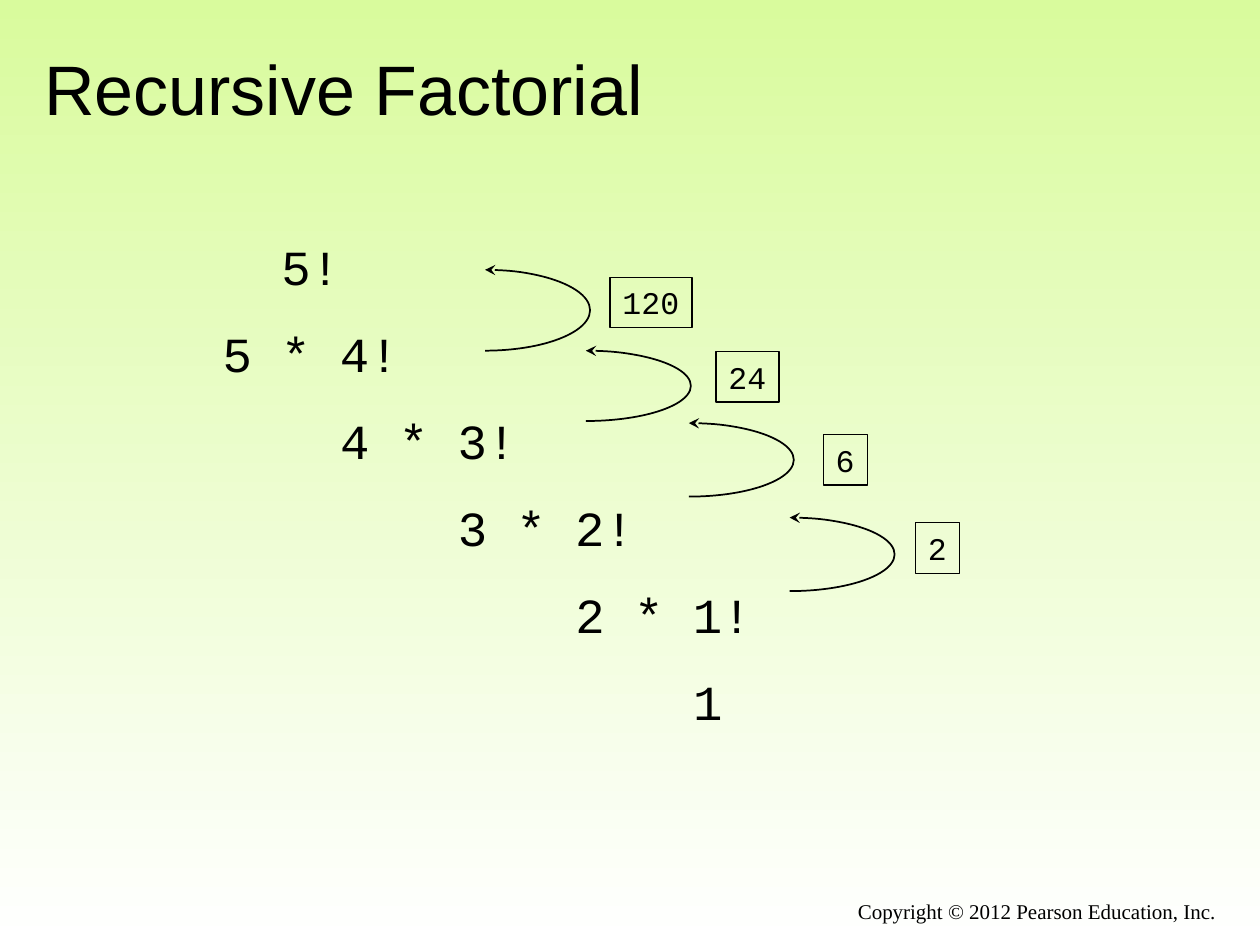
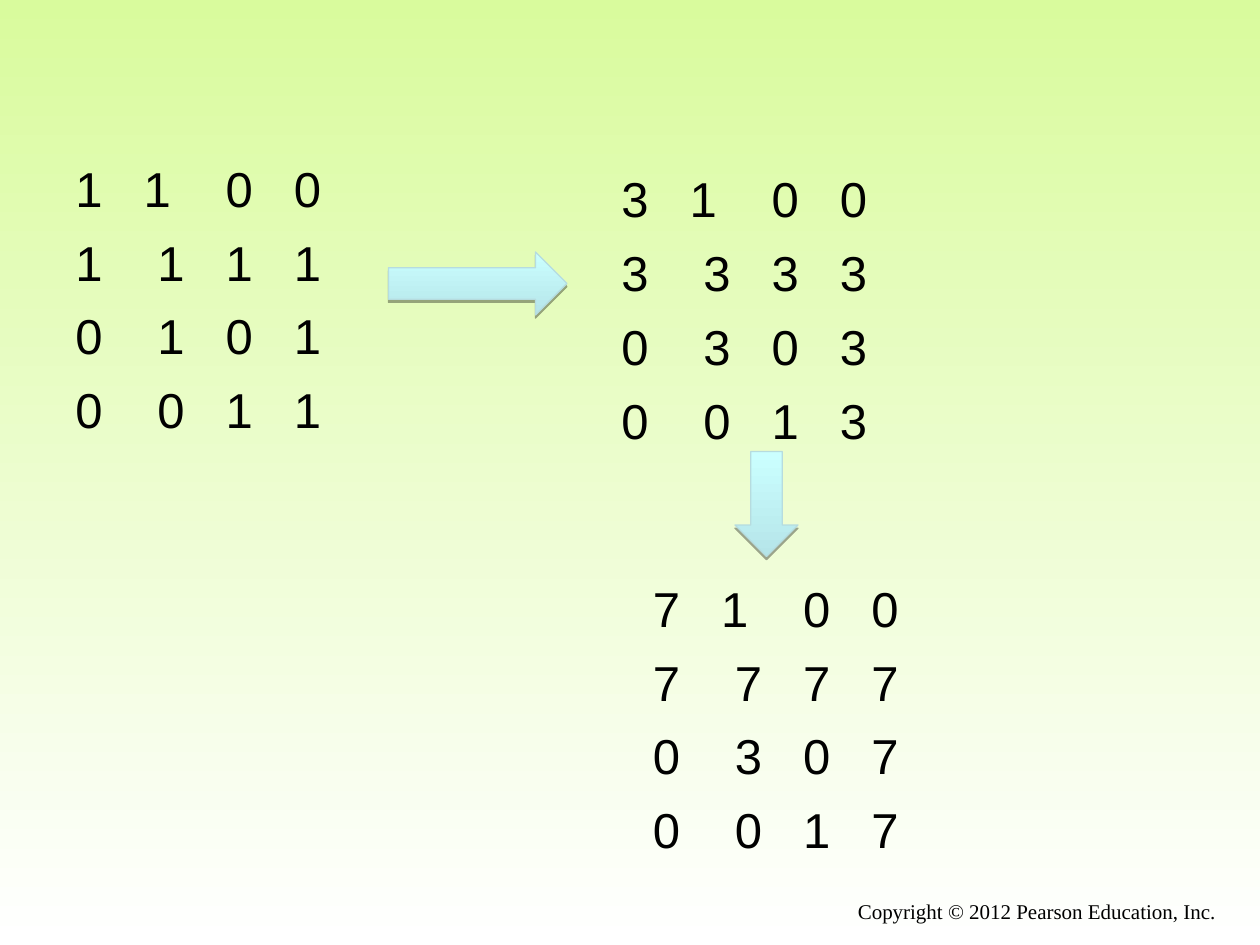
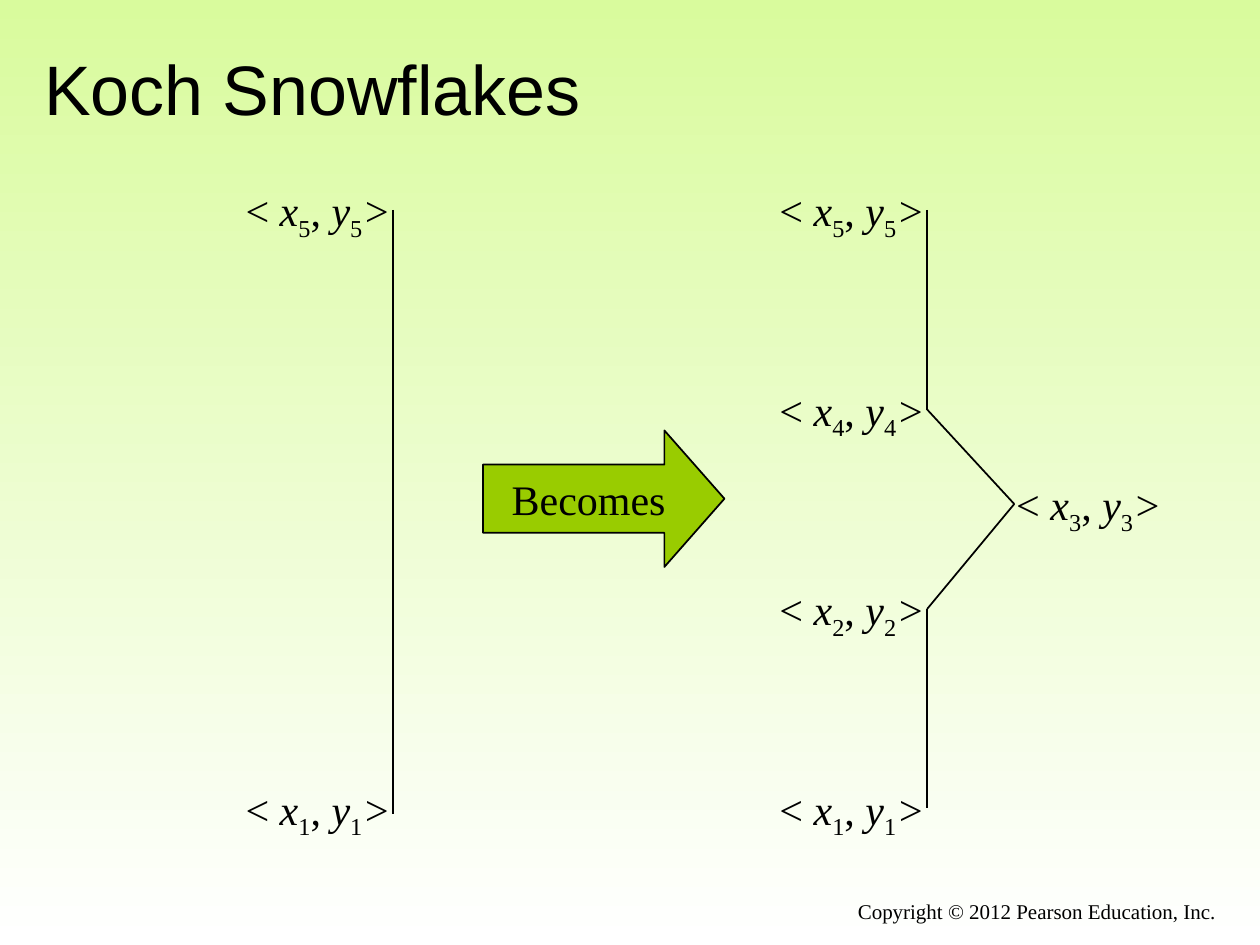
from itertools import pairwise

from lxml.etree import SubElement
from pptx import Presentation
from pptx.dml.color import RGBColor
from pptx.enum.shapes import MSO_CONNECTOR, MSO_SHAPE
from pptx.enum.text import MSO_ANCHOR, MSO_AUTO_SIZE, PP_ALIGN
from pptx.oxml.ns import qn
from pptx.util import Inches, Pt

BLACK = RGBColor(0x00, 0x00, 0x00)
LIME = RGBColor(0xD9, 0xFB, 0x9D)
WHITE = RGBColor(0xFF, 0xFF, 0xFF)
GREEN = RGBColor(0x99, 0xCC, 0x00)
AQUA = RGBColor(0xCB, 0xFF, 0xFF)
TEAL = RGBColor(0xB5, 0xE5, 0xE9)
TEAL_EDGE = RGBColor(0xB6, 0xDC, 0xDF)

TITLE_FONT = {"name": "Arial", "size": Pt(40)}
MATRIX_FONT = {"name": "Arial", "size": Pt(28)}
STEP_FONT = {"name": "Courier New", "size": Pt(28)}
RESULT_FONT = {"name": "Courier New", "size": Pt(18)}
POINT_FONT = {"name": "Times New Roman", "size": Pt(24)}
COPYRIGHT_FONT = {"name": "Times New Roman", "size": Pt(12)}


def grid(*cells):
    return [Inches(cell / 12) for cell in cells]


def write(paragraph, text, font):
    run = paragraph.add_run()
    run.text = text
    for attribute, value in font.items():
        setattr(run.font, attribute, value)
    run.font.color.rgb = BLACK
    return run


prs = Presentation()
prs.slide_width, prs.slide_height = grid(120, 90)

backdrop = prs.slide_master.background.fill
backdrop.gradient()
backdrop.gradient_angle = 270
for stop, color, position in zip(backdrop.gradient_stops, (LIME, WHITE), (0, 1)):
    stop.color.rgb = color
    stop.position = position

factorial, matrices, koch = [
    prs.slides.add_slide(prs.slide_layouts[layout]) for layout in (1, 6, 5)
]

for slide, heading in ((factorial, "Recursive Factorial"), (koch, "Koch Snowflakes")):
    title = slide.shapes.title
    title.left, title.top, title.width, title.height = grid(3, 3.6, 114, 9.4)
    title.text_frame.auto_size = MSO_AUTO_SIZE.NONE
    title.text_frame.vertical_anchor = MSO_ANCHOR.MIDDLE
    title.text_frame.paragraphs[0].alignment = PP_ALIGN.LEFT
    write(title.text_frame.paragraphs[0], heading, TITLE_FONT)

STEPS = [(7, "5!"), (5, "5 * 4!"), (9, "4 * 3!"), (13, "3 * 2!"), (17, "2 * 1!"), (21, "1")]
CHARACTER = 2.8
expansion = factorial.placeholders[1]
expansion.left, expansion.top, expansion.width, expansion.height = grid(6, 22.6, 109, 46.4)
expansion.text_frame.auto_size = MSO_AUTO_SIZE.NONE
for row, (indent, step) in enumerate(STEPS):
    line = expansion.text_frame.add_paragraph() if row else expansion.text_frame.paragraphs[0]
    line.line_spacing = 0.9
    line.space_before = Pt(19.4 if row else 0)
    properties = line._p.get_or_add_pPr()
    properties.set("marL", str(grid(indent * CHARACTER)[0]))
    properties.set("indent", "0")
    SubElement(properties, qn("a:buNone"))
    write(line, step, STEP_FONT)

RETURNS = [
    ("120", (46.2, 25.7, 7.7), (58.1, 26.4, 7.8)),
    ("24", (55.8, 33.4, 6.7), (68.2, 33.5, 6)),
    ("6", (65.6, 40.3, 7), (78.4, 41.4, 4.2)),
    ("2", (75.2, 49.3, 7), (87.2, 49.8, 4.2)),
]
ARC_RADIUS = 10
for value, (center, top, height), (left, result_top, width) in RETURNS:
    arc = factorial.shapes.add_shape(
        MSO_SHAPE.ARC, *grid(center - ARC_RADIUS, top, 2 * ARC_RADIUS, height)
    )
    arc.adjustments[0], arc.adjustments[1] = 162, 54
    arc.shadow.inherit = False
    arc.fill.background()
    arc.line.color.rgb = BLACK
    arc.line.width = Pt(1)
    SubElement(arc.line._get_or_add_ln(), qn("a:headEnd"), type="stealth")

    result = factorial.shapes.add_textbox(*grid(left, result_top, width, 4.8))
    result.line.color.rgb = BLACK
    result.line.width = Pt(0.75)
    write(result.text_frame.paragraphs[0], value, RESULT_FONT)

MATRICES = [
    ((6, 14.5), ("1100", "1111", "0101", "0011")),
    ((58, 15.5), ("3100", "3333", "0303", "0013")),
    ((61, 54.5), ("7100", "7777", "0307", "0017")),
]
for corner, rows in MATRICES:
    matrix = matrices.shapes.add_textbox(*grid(*corner, 30, 28)).text_frame
    matrix.word_wrap = True
    for row, digits in enumerate(rows):
        line = matrix.add_paragraph() if row else matrix.paragraphs[0]
        line.space_before = Pt(8.5 if row else 0)
        tabs = SubElement(line._p.get_or_add_pPr(), qn("a:tabLst"))
        for position in grid(7.8 if row else 6.5, 14.3, 20.8):
            SubElement(tabs, qn("a:tab"), pos=str(position), algn="l")
        write(line, "\t".join(digits), MATRIX_FONT)

for direction, cells in (
    (MSO_SHAPE.RIGHT_ARROW, (37, 24, 17, 6)),
    (MSO_SHAPE.DOWN_ARROW, (70, 43, 6, 10)),
):
    arrow = matrices.shapes.add_shape(direction, *grid(*cells))
    arrow.fill.gradient()
    arrow.fill.gradient_angle = 90
    for stop, color, position in zip(arrow.fill.gradient_stops, (TEAL, AQUA), (0, 1)):
        stop.color.rgb = color
        stop.position = position
    arrow.line.color.rgb = TEAL_EDGE
    arrow.line.width = Pt(0.75)
    arrow.shadow.inherit = False
    shadow = SubElement(
        arrow._element.spPr.find(qn("a:effectLst")), qn("a:outerShdw"),
        blurRad="0", dist=str(Pt(1.8)), dir="5400000", rotWithShape="0",
    )
    shade = SubElement(shadow, qn("a:srgbClr"), val=str(BLACK))
    SubElement(shade, qn("a:alpha"), val="35000")

LEFT_X, RIGHT_X, PEAK_X = 37.45, 88.3, 96.6
BEND = [(RIGHT_X, 20), (RIGHT_X, 39), (PEAK_X, 48), (RIGHT_X, 58), (RIGHT_X, 77)]
SEGMENTS = [((LEFT_X, 20), (LEFT_X, 77.5)), *pairwise(BEND)]
for start, end in SEGMENTS:
    segment = koch.shapes.add_connector(MSO_CONNECTOR.STRAIGHT, *grid(*start, *end))
    segment.line.color.rgb = BLACK
    segment.line.width = Pt(1)
    SubElement(segment._element.spPr, qn("a:effectLst"))

POINTS = [("5", (LEFT_X, 20)), ("1", (LEFT_X, 77)), *zip("54321", BEND)]
for index, (x, y) in POINTS:
    offset = 1 if x == PEAK_X else 15.25
    label = koch.shapes.add_textbox(*grid(x - offset, y - 3, 16.2, 6.7)).text_frame
    label.word_wrap = False
    coordinates = label.paragraphs[0]
    coordinates.alignment = PP_ALIGN.CENTER
    for part in ("< ", "x", index, ", ", "y", index, ">"):
        run = write(coordinates, part, {**POINT_FONT, "italic": part in "xy>"})
        if part == index:
            run.font._element.set("baseline", "-25000")

becomes = koch.shapes.add_shape(MSO_SHAPE.RIGHT_ARROW, *grid(46, 41, 23, 13))
becomes.adjustments[1] = 0.44
becomes.shadow.inherit = False
becomes.fill.solid()
becomes.fill.fore_color.rgb = GREEN
becomes.line.color.rgb = BLACK
becomes.line.width = Pt(1)
becomes.text_frame.word_wrap = False
becomes.text_frame.vertical_anchor = MSO_ANCHOR.MIDDLE
becomes.text_frame.paragraphs[0].alignment = PP_ALIGN.CENTER
write(becomes.text_frame.paragraphs[0], "Becomes", POINT_FONT)

for slide in prs.slides:
    footer = slide.shapes.add_textbox(*grid(44, 85, 73, 4)).text_frame
    footer.word_wrap = True
    footer.paragraphs[0].alignment = PP_ALIGN.RIGHT
    write(footer.paragraphs[0], "Copyright © 2012 Pearson Education, Inc.", COPYRIGHT_FONT)

prs.save("out.pptx")
